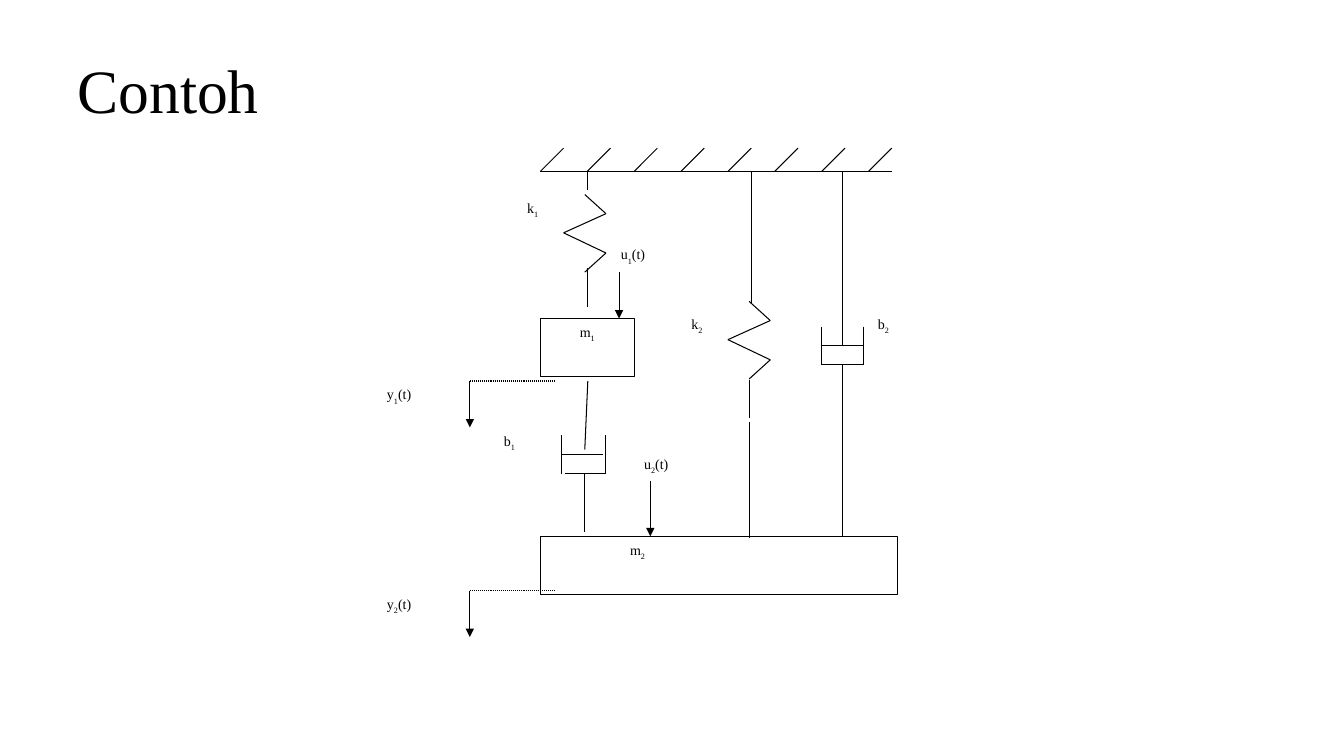
from itertools import pairwise
from lxml.etree import SubElement
from pptx import Presentation
from pptx.dml.color import RGBColor
from pptx.enum.dml import MSO_LINE
from pptx.enum.shapes import MSO_CONNECTOR, MSO_SHAPE
from pptx.enum.text import MSO_ANCHOR, PP_ALIGN
from pptx.oxml.ns import qn
from pptx.util import Pt

PX = 9144  # EMU per px, 100 px to the inch
FONT, BLACK, WHITE = "Times New Roman", "000000", "FFFFFF"

TITLE = ("Contoh", 67, 30, 1200, 125)

# letter, subscript, ending, left, top, width
LABELS = [
    ("u", "2", "(t)", 629, 447, 116),
    ("b", "1", "", 490, 424, 70),
    ("k", "2", "", 676, 308, 62),
    ("u", "1", "(t)", 606, 239, 116),
    ("y", "1", "(t)", 374, 378, 104),
    ("y", "2", "(t)", 374, 586, 104),
    ("k", "1", "", 513, 193, 62),
    ("b", "2", "", 861, 308, 70),
]
LABEL_H = 58

# letter, subscript, left, top, width, text indent (None = centred)
MASSES = [("m", "2", 536, 532, 354, 79), ("m", "1", 536, 316, 93, None)]

# Support beam and its hatching
BEAM_X, BEAM_Y, BEAM_W = 536, 170, 349
HATCHES, HATCH_GAP, HATCH = 8, 46.5, 23

# Springs: x, top
SPRINGS = [(580, 193), (743, 299)]
ZIGZAG = [(0, 0), (21, 19), (-21, 38), (21, 58), (0, 77)]

# Dampers: left, top, width, gap left at piston and cup floor
DAMPERS = [(815, 324, 41, 0), (557, 432, 44, 3)]
PISTON, CUP = 19, 38

# Rods joining the parts: x1, y1, x2, y2
RODS = [
    (583, 170, 583, 189), (583, 266, 583, 305),
    (583, 378, 580, 446), (580, 470, 580, 528),
    (745, 170, 745, 301), (743, 377, 743, 415), (743, 419, 743, 534),
    (836, 170, 836, 343), (836, 362, 836, 532),
]

# Force arrows, each starting below its label: x, top, bottom
FORCES = [(614, 270, 316), (645, 477, 532)]

# Displacement marks: x, y
DISPLACEMENTS = [(466, 378), (466, 586)]
DOTTED_W, ARROW_H = 84, 46


def color(hex_):
    return RGBColor.from_string(hex_)


def emu(*lengths):
    return [round(v * PX) for v in lengths]


def style(r, size):
    r.font.name = FONT
    r.font.size = Pt(size)
    r.font.color.rgb = color(BLACK)


def box(letter, sub, ending, x, y, w, outline=False):
    sp = s.shapes.add_shape(MSO_SHAPE.RECTANGLE, *emu(x, y, w, LABEL_H))
    sp.shadow.inherit = False
    sp.fill.solid()
    sp.fill.fore_color.rgb = color(WHITE)
    if outline:
        sp.line.color.rgb = color(BLACK)
        sp.line.width = Pt(0.75)
    else:
        sp.line.fill.background()
    tf = sp.text_frame
    tf.vertical_anchor = MSO_ANCHOR.TOP
    p = tf.paragraphs[0]
    p.text = letter
    p.alignment = PP_ALIGN.LEFT
    for text in filter(None, (sub, ending)):
        p.add_run().text = text
    for r in p.runs:
        style(r, 10)
    p.runs[1].font._element.set("baseline", "-30000")
    return tf


def line(x1, y1, x2, y2, arrow=False, dotted=False):
    c = s.shapes.add_connector(MSO_CONNECTOR.STRAIGHT, *emu(x1, y1, x2, y2))
    c.line.color.rgb = color(BLACK)
    c.line.width = Pt(0.75)
    if dotted:
        c.line.dash_style = MSO_LINE.ROUND_DOT
    if arrow:
        SubElement(c.line._get_or_add_ln(), qn("a:tailEnd"), type="triangle")
    SubElement(c._element.spPr, qn("a:effectLst"))


prs = Presentation()
prs.slide_width, prs.slide_height = emu(1333, 750)
s = prs.slides.add_slide(prs.slide_layouts[6])

# Title
text, *place = TITLE
tf = s.shapes.add_textbox(*emu(*place)).text_frame
tf.word_wrap = True
tf.vertical_anchor = MSO_ANCHOR.MIDDLE
p = tf.paragraphs[0]
p.text = text
p.line_spacing = 0.9
style(p.runs[0], 44)

# Labels and masses
for label in LABELS:
    box(*label)
for letter, sub, x, y, w, indent in MASSES:
    tf = box(letter, sub, "", x, y, w, outline=True)
    if indent is None:
        tf.paragraphs[0].alignment = PP_ALIGN.CENTER
    else:
        tf.margin_left += indent * PX

# Support
line(BEAM_X, BEAM_Y, BEAM_X + BEAM_W, BEAM_Y)
for i in range(HATCHES):
    x = BEAM_X + i * HATCH_GAP
    line(x, BEAM_Y, x + HATCH, BEAM_Y - HATCH)

# Springs, dampers and rods
for x, y in SPRINGS:
    for (dx1, dy1), (dx2, dy2) in pairwise(ZIGZAG):
        line(x + dx1, y + dy1, x + dx2, y + dy2)
for x, y, w, gap in DAMPERS:
    for side in (x, x + w):
        line(side, y, side, y + CUP)
    line(x, y + PISTON, x + w - gap, y + PISTON)
    line(x + gap, y + CUP, x + w, y + CUP)
for rod in RODS:
    line(*rod)

# Forces and displacements
for x, top, bottom in FORCES:
    line(x, top, x, bottom, arrow=True)
for x, y in DISPLACEMENTS:
    line(x, y, x + DOTTED_W, y, dotted=True)
    line(x, y, x, y + ARROW_H, arrow=True)

prs.save("out.pptx")
